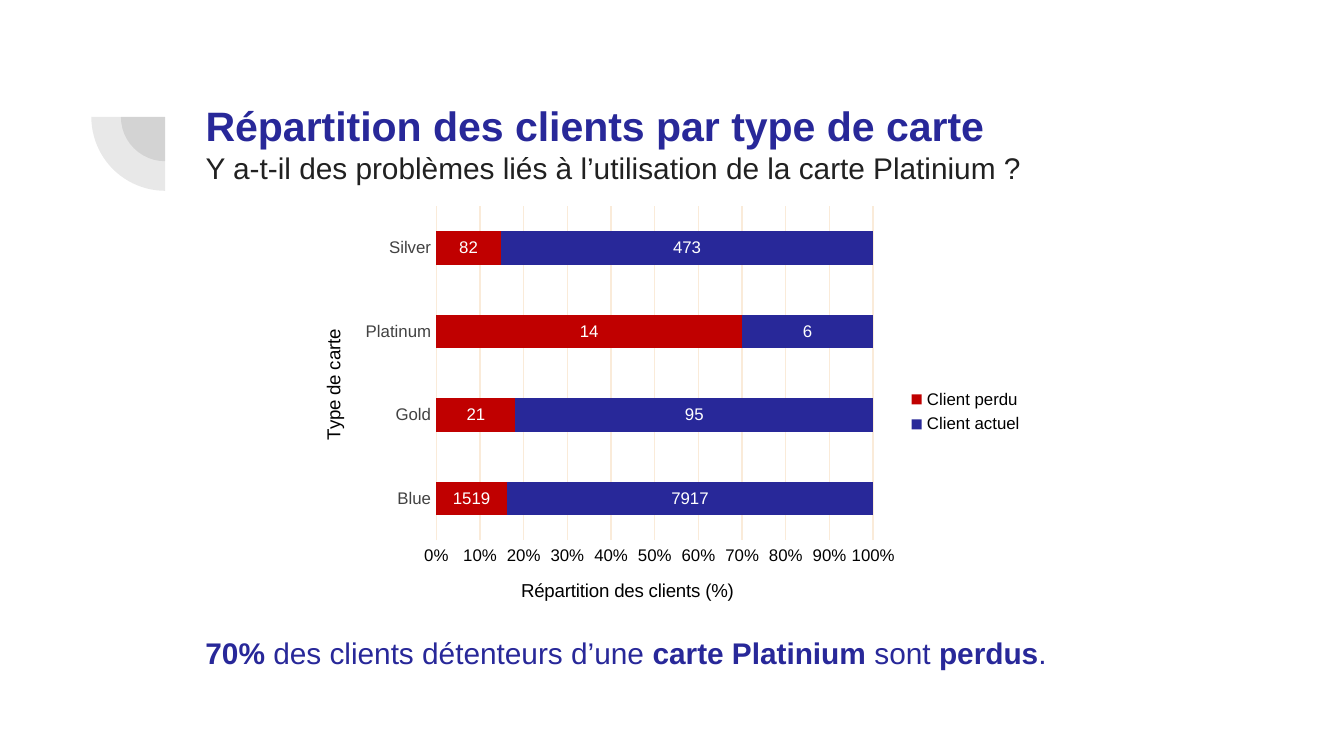
from dataclasses import dataclass

from lxml.etree import SubElement
from pptx import Presentation
from pptx.chart.data import CategoryChartData
from pptx.dml.color import RGBColor
from pptx.enum.chart import XL_CHART_TYPE, XL_LABEL_POSITION, XL_LEGEND_POSITION, XL_TICK_MARK
from pptx.enum.shapes import MSO_SHAPE
from pptx.enum.text import MSO_ANCHOR, PP_ALIGN
from pptx.oxml.ns import qn
from pptx.util import Inches, Pt


@dataclass(frozen=True)
class Theme:
    font: str = "Arial"
    navy: str = "282899"
    red: str = "C00000"
    ink: str = "212121"
    gray: str = "424242"
    black: str = "000000"
    white: str = "FFFFFF"
    grid: str = "FAEBD9"
    title_size: float = 22
    text_size: float = 16
    axis_title_size: float = 10
    label_size: float = 9


def color(value):
    return RGBColor.from_string(value)


def format_font(font, name, size, fill, bold=False):
    font.name = name
    font.size = Pt(size)
    font.bold = bold
    font.color.rgb = color(fill)


def add_text(paragraph, text, **style):
    run = paragraph.add_run()
    run.text = text
    format_font(run.font, **style)


def set_layout(element, inner=False, **fractions):
    layout = element.find(qn("c:layout"))
    if layout is None:
        layout = element.makeelement(qn("c:layout"))
        element.insert(0 if inner else 1, layout)
    manual = SubElement(layout, qn("c:manualLayout"))
    if inner:
        SubElement(manual, qn("c:layoutTarget")).set("val", "inner")
    for side in ("x", "y"):
        SubElement(manual, qn(f"c:{side}Mode")).set("val", "edge")
    for side, fraction in fractions.items():
        SubElement(manual, qn(f"c:{side}")).set("val", str(fraction))


class SlideBuilder:
    def __init__(self, slide, theme):
        self.slide = slide
        self.theme = theme

    def style(self, size, fill, bold=False):
        return {"name": self.theme.font, "size": size, "fill": fill, "bold": bold}

    def quarter_disc(self, center_x, center_y, radius):
        shape = self.slide.shapes.add_shape(
            MSO_SHAPE.PIE, Inches(center_x - radius), Inches(center_y - radius),
            Inches(2 * radius), Inches(2 * radius))
        shape.adjustments[0] = 54
        shape.adjustments[1] = 108
        shape.shadow.inherit = False
        shape.line.fill.background()
        shape.fill.solid()
        shape.fill.fore_color.rgb = color(self.theme.gray)
        fill_color = next(shape.fill._xPr.iter(qn("a:srgbClr")))
        SubElement(fill_color, qn("a:alpha")).set("val", "12000")

    def title(self, heading, question, left, top, width, height):
        shape = self.slide.shapes.title
        shape.left, shape.top = Inches(left), Inches(top)
        shape.width, shape.height = Inches(width), Inches(height)
        frame = shape.text_frame
        frame.word_wrap = True
        frame.vertical_anchor = MSO_ANCHOR.TOP
        frame.margin_left = frame.margin_right = Inches(0.1)
        frame.margin_top = frame.margin_bottom = Inches(0.1)
        paragraph = frame.paragraphs[0]
        paragraph.alignment = PP_ALIGN.LEFT
        add_text(paragraph, heading, **self.style(self.theme.title_size, self.theme.navy, True))
        paragraph.add_line_break()
        add_text(paragraph, question, **self.style(self.theme.text_size, self.theme.ink))

    def text(self, parts, left, top, width, height):
        box = self.slide.shapes.add_textbox(
            Inches(left), Inches(top), Inches(width), Inches(height))
        box.text_frame.word_wrap = True
        paragraph = box.text_frame.paragraphs[0]
        for part, bold in parts:
            add_text(paragraph, part, **self.style(self.theme.text_size, self.theme.navy, bold))

    def axis(self, axis, title, label_color, x, y):
        axis.major_tick_mark = axis.minor_tick_mark = XL_TICK_MARK.NONE
        format_font(axis.tick_labels.font, **self.style(self.theme.label_size, label_color))
        add_text(axis.axis_title.text_frame.paragraphs[0], title,
                 **self.style(self.theme.axis_title_size, self.theme.black))
        set_layout(axis.axis_title._element, x=x, y=y)

    def line(self, line):
        line.color.rgb = color(self.theme.grid)
        line.width = Pt(0.75)

    def stacked_bars(self, categories, series, left, top, width, height):
        theme = self.theme
        data = CategoryChartData()
        data.categories = categories
        for name, values, _ in series:
            data.add_series(name, values)
        chart = self.slide.shapes.add_chart(
            XL_CHART_TYPE.BAR_STACKED_100, Inches(left), Inches(top),
            Inches(width), Inches(height), data).chart
        chart.has_title = False
        format_font(chart.font, **self.style(theme.axis_title_size, theme.black))
        set_layout(chart._chartSpace.chart.plotArea, True, x=0.19, y=0.02, w=0.59, h=0.78)

        plot = chart.plots[0]
        plot.gap_width = 150
        plot.overlap = 100
        plot.vary_by_categories = False
        for bars, (_, _, fill) in zip(plot.series, series):
            bars.format.fill.solid()
            bars.format.fill.fore_color.rgb = color(fill)
            labels = bars.data_labels
            labels.show_value = True
            labels.position = XL_LABEL_POSITION.CENTER
            format_font(labels.font, **self.style(theme.label_size, theme.white))

        self.axis(chart.category_axis, "Type de carte", theme.gray, 0.03, 0.3)
        self.line(chart.category_axis.format.line)
        value_axis = chart.value_axis
        self.axis(value_axis, "Répartition des clients (%)", theme.black, 0.3, 0.88)
        value_axis.minimum_scale, value_axis.maximum_scale = 0, 1
        value_axis.major_unit = 0.1
        value_axis.tick_labels.number_format = "0%"
        value_axis.tick_labels.number_format_is_linked = False
        value_axis.format.line.fill.background()
        self.line(value_axis.major_gridlines.format.line)

        chart.has_legend = True
        chart.legend.position = XL_LEGEND_POSITION.RIGHT
        chart.legend.include_in_layout = False
        format_font(chart.legend.font, **self.style(theme.label_size, theme.black))


def main():
    presentation = Presentation()
    presentation.slide_width = Inches(10)
    presentation.slide_height = Inches(10 * 9 / 16)
    theme = Theme()
    slide = presentation.slides.add_slide(presentation.slide_layouts[5])
    builder = SlideBuilder(slide, theme)
    text_left, text_width = 1.43, 7.69

    for radius in (0.33, 0.55):
        builder.quarter_disc(1.23, 0.87, radius)
    builder.title("Répartition des clients par type de carte",
                  "Y a-t-il des problèmes liés à l’utilisation de la carte Platinium ?",
                  text_left, 0.65, text_width, 0.97)
    builder.text([("70% ", True), ("des clients détenteurs d’une ", False),
                  ("carte Platinium ", True), ("sont ", False),
                  ("perdus", True), (".", False)],
                 text_left, 4.67, text_width, 0.37)
    builder.stacked_bars(["Blue", "Gold", "Platinum", "Silver"],
                         [("Client perdu", [1519, 21, 14, 82], theme.red),
                          ("Client actuel", [7917, 95, 6, 473], theme.navy)],
                         2.2, 1.47, 5.51, 3.19)
    presentation.save("out.pptx")


if __name__ == "__main__":
    main()
